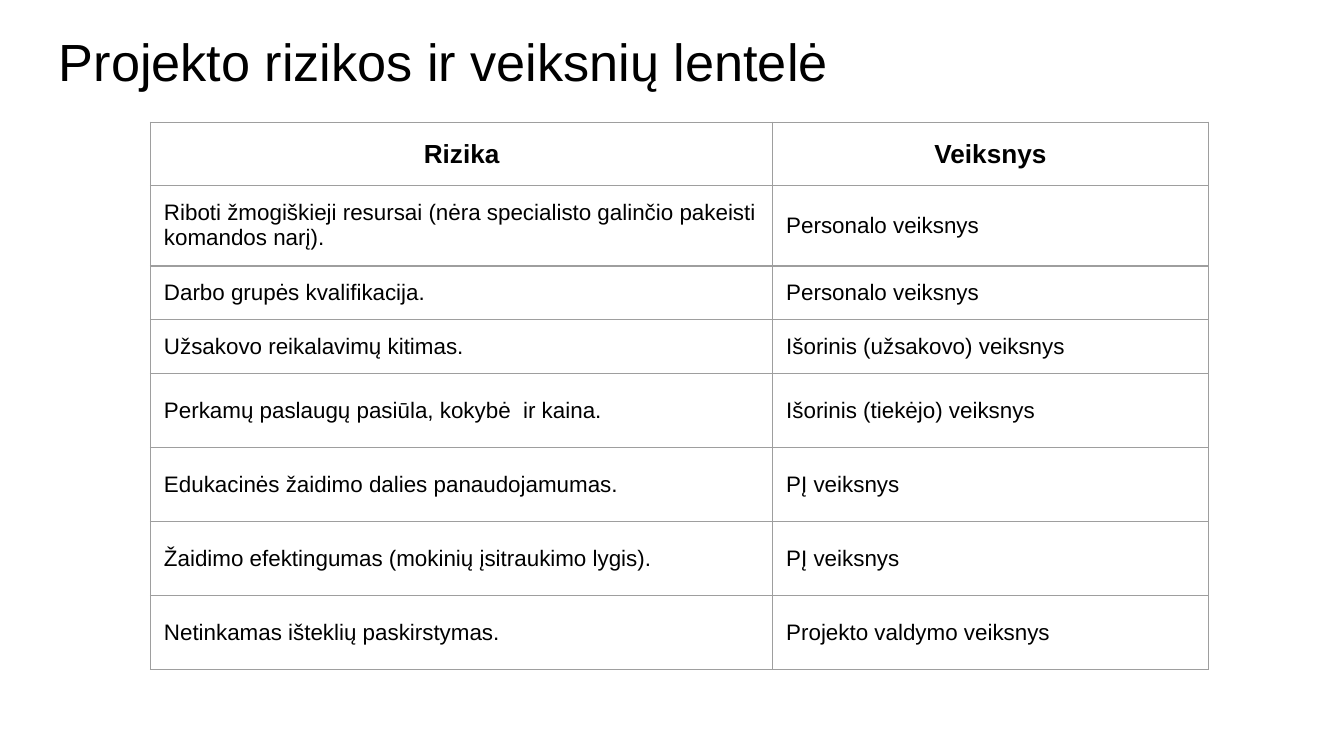
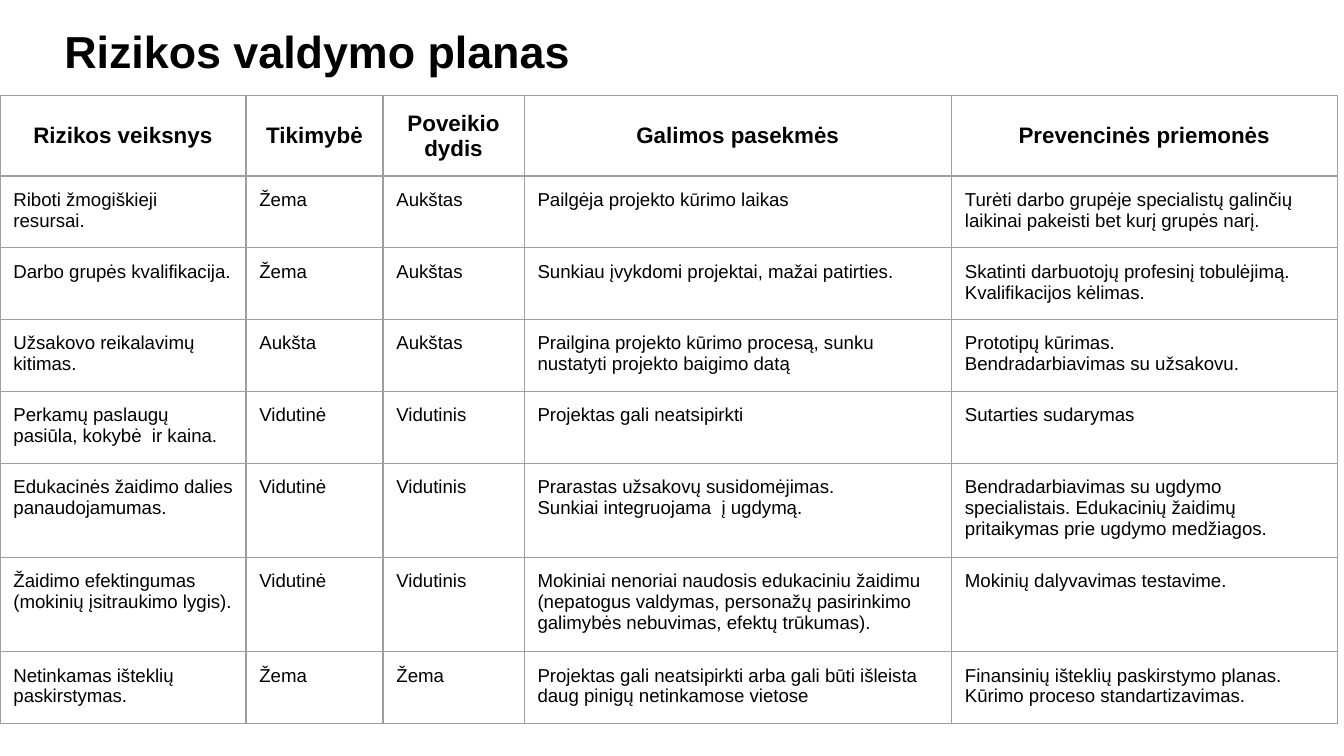
from lxml.etree import fromstring
from pptx import Presentation
from pptx.dml.color import RGBColor
from pptx.enum.text import MSO_ANCHOR, PP_ALIGN
from pptx.util import Inches, Pt

BLACK = RGBColor(0x00, 0x00, 0x00)
WHITE = RGBColor(0xFF, 0xFF, 0xFF)
GREY = RGBColor(0x9E, 0x9E, 0x9E)
FONT = "Arial"
INSET = Inches(0.1)
A_NS = "http://schemas.openxmlformats.org/drawingml/2006/main"

RISKS = [
    "Darbo grupės kvalifikacija.",
    "Užsakovo reikalavimų kitimas.",
    "Perkamų paslaugų pasiūla, kokybė  ir kaina.",
    "Edukacinės žaidimo dalies panaudojamumas.",
    "Žaidimo efektingumas (mokinių įsitraukimo lygis).",
    "Netinkamas išteklių paskirstymas.",
]
FACTORS = [
    "Personalo veiksnys",
    "Personalo veiksnys",
    "Išorinis (užsakovo) veiksnys",
    "Išorinis (tiekėjo) veiksnys",
    "PĮ veiksnys",
    "PĮ veiksnys",
    "Projekto valdymo veiksnys",
]
PLAN_HEAD = ["Rizikos veiksnys", "Tikimybė", "Poveikio dydis",
             "Galimos pasekmės", "Prevencinės priemonės"]
# Likelihood, impact, consequences, prevention
PLAN = [
    ("Žema", "Aukštas", "Pailgėja projekto kūrimo laikas",
     "Turėti darbo grupėje specialistų galinčių laikinai pakeisti bet kurį "
     "grupės narį."),
    ("Žema", "Aukštas", "Sunkiau įvykdomi projektai, mažai patirties.",
     "Skatinti darbuotojų profesinį tobulėjimą.\nKvalifikacijos kėlimas."),
    ("Aukšta", "Aukštas",
     "Prailgina projekto kūrimo procesą, sunku nustatyti projekto baigimo datą",
     "Prototipų kūrimas.\nBendradarbiavimas su užsakovu."),
    ("Vidutinė", "Vidutinis", "Projektas gali neatsipirkti",
     "Sutarties sudarymas"),
    ("Vidutinė", "Vidutinis",
     "Prarastas užsakovų susidomėjimas.\nSunkiai integruojama  į ugdymą.",
     "Bendradarbiavimas su ugdymo specialistais. Edukacinių žaidimų "
     "pritaikymas prie ugdymo medžiagos."),
    ("Vidutinė", "Vidutinis",
     "Mokiniai nenoriai naudosis edukaciniu žaidimu (nepatogus valdymas, "
     "personažų pasirinkimo galimybės nebuvimas, efektų trūkumas).",
     "Mokinių dalyvavimas testavime."),
    ("Žema", "Žema",
     "Projektas gali neatsipirkti arba gali būti išleista daug pinigų "
     "netinkamose vietose",
     "Finansinių išteklių paskirstymo planas.\n"
     "Kūrimo proceso standartizavimas."),
]


class Deck:
    """Hold the style and the current slide; lengths are grid units."""

    def __init__(self):
        """Open a 16:9 deck with a square grid of 100 columns."""
        self.prs = Presentation()
        self.prs.slide_width = Inches(10)
        self.prs.slide_height = Inches(5.625)
        self.s = None

    def grid(self, units):
        """Turn grid units into a length."""
        return int(self.prs.slide_width * units / 100)

    def slide(self):
        """Start a blank slide."""
        self.s = self.prs.slides.add_slide(self.prs.slide_layouts[6])

    def fill_text(self, tf, text, size, bold=False, align=PP_ALIGN.LEFT,
                  spacing=1.0):
        """Fill a text frame, one paragraph per line, and format it."""
        tf.text = text
        tf.word_wrap = True
        for p in tf.paragraphs:
            p.alignment = align
            p.line_spacing = spacing
            for r in p.runs:
                r.font.name = FONT
                r.font.size = Pt(size)
                r.font.bold = bold
                r.font.color.rgb = BLACK

    def title(self, text, left, top, size, bold=False):
        """Add the slide title."""
        box = self.s.shapes.add_textbox(*map(self.grid, (left, top, 93.2, 6.3)))
        tf = box.text_frame
        tf.margin_left = tf.margin_right = INSET
        tf.margin_top = tf.margin_bottom = INSET
        self.fill_text(tf, text, size, bold)

    def border(self, cell):
        """Draw a thin grey line on the four sides of a cell."""
        tc_pr = cell._tc.get_or_add_tcPr()
        for i, side in enumerate("LRTB"):
            tc_pr.insert(i, fromstring(
                f'<a:ln{side} xmlns:a="{A_NS}" w="{int(Pt(0.75))}"><a:solidFill>'
                f'<a:srgbClr val="{GREY}"/></a:solidFill></a:ln{side}>'))

    def table(self, left, top, cols, rows, data, head_size, size,
              head_anchor, anchor, head_spacing=1.0):
        """Add a ruled table whose first row is a bold centred header."""
        frame = self.s.shapes.add_table(
            len(rows), len(cols), self.grid(left), self.grid(top),
            self.grid(sum(cols)), self.grid(sum(rows)))
        table = frame.table
        table.first_row = table.horz_banding = False
        for column, width in zip(table.columns, cols):
            column.width = self.grid(width)
        for i, (row, height) in enumerate(zip(table.rows, rows)):
            row.height = self.grid(height)
            for cell, text in zip(row.cells, data[i]):
                cell.margin_left = cell.margin_right = INSET
                cell.margin_top = cell.margin_bottom = INSET
                cell.fill.solid()
                cell.fill.fore_color.rgb = WHITE
                self.border(cell)
                if i == 0:
                    cell.vertical_anchor = head_anchor
                    self.fill_text(cell.text_frame, text, head_size, True,
                                   PP_ALIGN.CENTER, head_spacing)
                else:
                    cell.vertical_anchor = anchor
                    self.fill_text(cell.text_frame, text, size)


def risk_slide(deck):
    """Build the table of risks and their factors."""
    deck.slide()
    deck.title("Projekto rizikos ir veiksnių lentelė", 3.4, 1.2, 28)
    risks = ["Riboti žmogiškieji resursai (nėra specialisto galinčio pakeisti "
             "komandos narį)."] + RISKS
    deck.table(11.2, 9.1, [46.3, 32.4], [3.7, 5.2] + [3.4] * 2 + [5.5] * 4,
               [("Rizika", "Veiksnys"), *zip(risks, FACTORS)], 14, 12,
               MSO_ANCHOR.TOP, MSO_ANCHOR.MIDDLE, head_spacing=1.15)


def plan_slide(deck):
    """Build the risk management plan."""
    deck.slide()
    deck.title("Rizikos valdymo planas", 3.8, 0.8, 24, bold=True)
    risks = ["Riboti žmogiškieji resursai."] + RISKS
    data = [PLAN_HEAD] + [(risk, *plan) for risk, plan in zip(risks, PLAN)]
    deck.table(0, 7.1, [18.3, 10.2, 10.5, 31.8, 28.7],
               [4.5] + [4] * 4 + [5.2] * 2 + [4], data, 12, 10,
               MSO_ANCHOR.MIDDLE, MSO_ANCHOR.TOP)


deck = Deck()
risk_slide(deck)
plan_slide(deck)
deck.prs.save("out.pptx")
